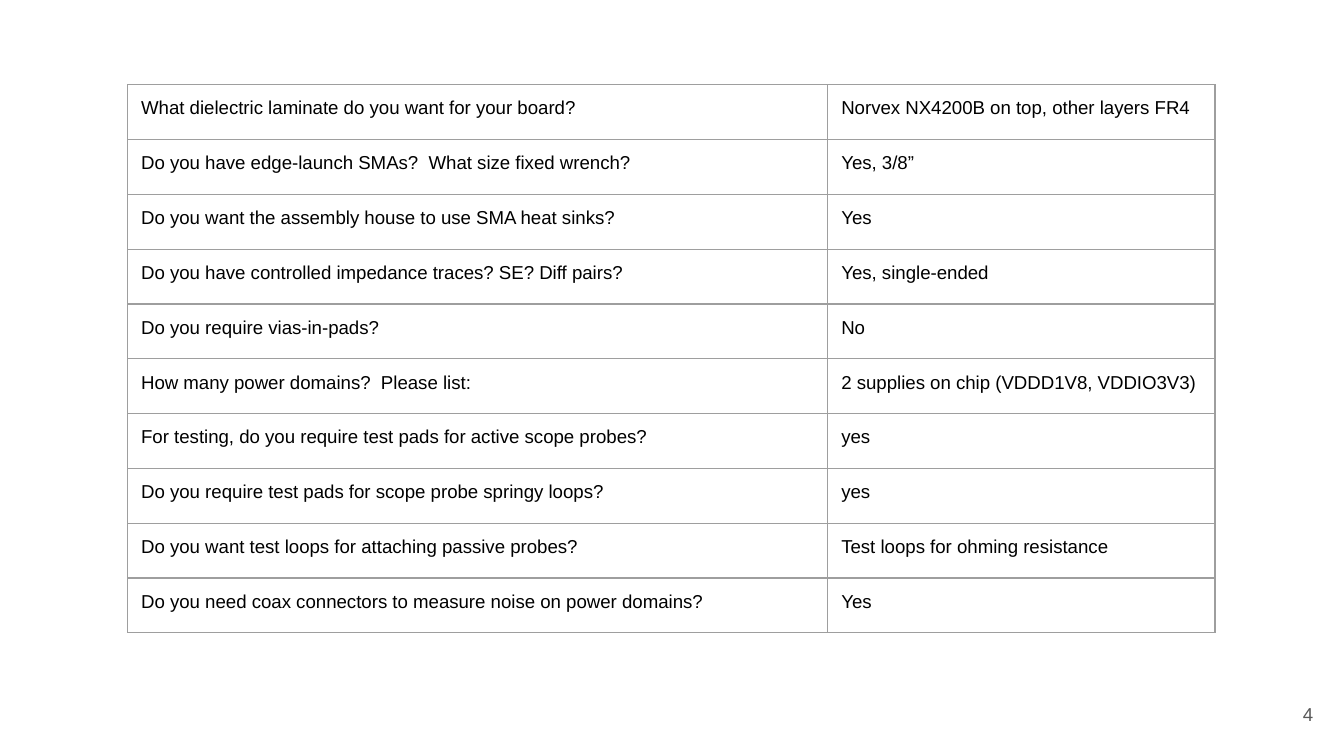
from lxml.etree import SubElement
from pptx import Presentation
from pptx.dml.color import RGBColor
from pptx.enum.text import MSO_ANCHOR, PP_ALIGN
from pptx.oxml.ns import qn
from pptx.util import Inches, Pt

BLACK = RGBColor(0x00, 0x00, 0x00)
GREY = RGBColor(0x59, 0x59, 0x59)
BORDER = RGBColor(0x9E, 0x9E, 0x9E)
MARGIN = Inches(0.1)

QUESTIONS = [
    ("What dielectric laminate do you want for your board?", "Norvex NX4200B on top, other layers FR4"),
    ("Do you have edge-launch SMAs?  What size fixed wrench?", "Yes, 3/8”"),
    ("Do you want the assembly house to use SMA heat sinks?", "Yes"),
    ("Do you have controlled impedance traces? SE? Diff pairs?", "Yes, single-ended"),
    ("Do you require vias-in-pads?", "No"),
    ("How many power domains?  Please list:", "2 supplies on chip (VDDD1V8, VDDIO3V3)"),
    ("For testing, do you require test pads for active scope probes?", "yes"),
    ("Do you require test pads for scope probe springy loops?", "yes"),
    ("Do you want test loops for attaching passive probes?", "Test loops for ohming resistance"),
    ("Do you need coax connectors to measure noise on power domains?", "Yes"),
]


def add_text(paragraph, text, color):
    run = paragraph.add_run()
    run.text = text
    run.font.name = "Arial"
    run.font.size = Pt(10)
    run.font.color.rgb = color


def add_borders(cell):
    properties = cell._tc.get_or_add_tcPr()
    for position, side in enumerate(("a:lnL", "a:lnR", "a:lnT", "a:lnB")):
        line = SubElement(properties, qn(side), w=str(Pt(0.75)))
        fill = SubElement(line, qn("a:solidFill"))
        SubElement(fill, qn("a:srgbClr"), val=str(BORDER))
        properties.insert(position, line)


presentation = Presentation()
presentation.slide_width = Inches(10)
presentation.slide_height = presentation.slide_width * 9 // 16
slide = presentation.slides.add_slide(presentation.slide_layouts[6])

number_box = slide.shapes.add_textbox(Inches(9.27), Inches(5.1), Inches(0.6), Inches(0.43))
number_frame = number_box.text_frame
number_frame.word_wrap = True
number_frame.vertical_anchor = MSO_ANCHOR.MIDDLE
number_frame.margin_left = number_frame.margin_right = MARGIN
number_frame.margin_top = number_frame.margin_bottom = MARGIN
number_frame.paragraphs[0].alignment = PP_ALIGN.RIGHT
add_text(number_frame.paragraphs[0], "4", GREY)

column_widths = [Inches(5.21), Inches(2.88)]
table = slide.shapes.add_table(
    len(QUESTIONS), len(column_widths), Inches(0.95), Inches(0.63), sum(column_widths), Inches(4.08)
).table
table.first_row = False
table.horz_banding = False
for column, width in zip(table.columns, column_widths):
    column.width = width

for row, texts in zip(table.rows, QUESTIONS):
    for cell, text in zip(row.cells, texts):
        cell.fill.background()
        cell.margin_left = cell.margin_right = MARGIN
        cell.margin_top = cell.margin_bottom = MARGIN
        add_borders(cell)
        add_text(cell.text_frame.paragraphs[0], text, BLACK)

presentation.save("out.pptx")
